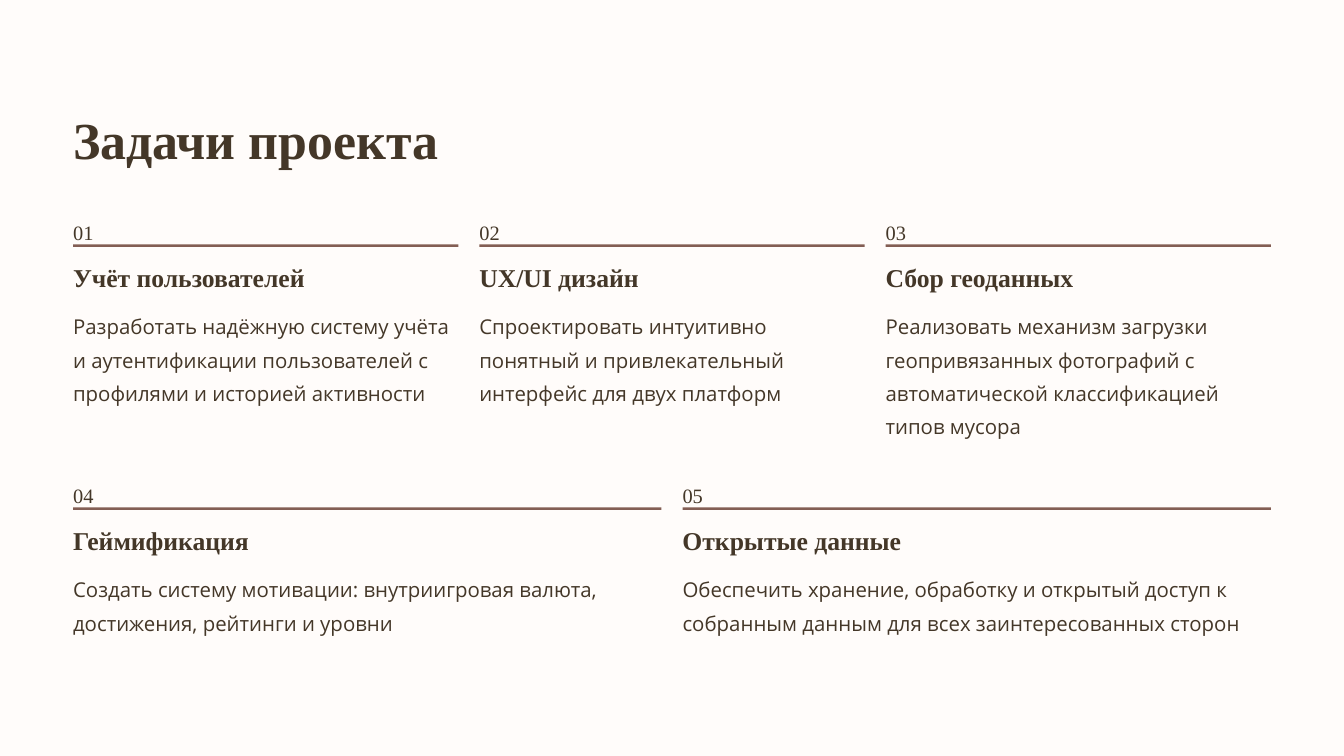
from pptx import Presentation
from pptx.dml.color import RGBColor
from pptx.enum.shapes import MSO_SHAPE
from pptx.enum.text import MSO_ANCHOR, MSO_AUTO_SIZE, PP_ALIGN
from pptx.util import Inches, Pt

RECTANGLE = MSO_SHAPE.RECTANGLE
TOP = MSO_ANCHOR.TOP
NO_AUTOFIT = MSO_AUTO_SIZE.NONE
LEFT_ALIGN = PP_ALIGN.LEFT

PAPER, INK, RULE = "FFFCFA", "443728", "835E54"
SERIF, SANS = "Times New Roman", "Open Sans"
MARGIN, CONTENT_WIDTH, GAP = 0.87, 14.26, 0.25
LINE_HEIGHT = 0.4

# Each task: heading, description, number of description lines.
TASK_ROWS = [
    (2.52, [
        ("Учёт пользователей",
         "Разработать надёжную систему учёта и аутентификации "
         "пользователей с профилями и историей активности", 3),
        ("UX/UI дизайн",
         "Спроектировать интуитивно понятный и привлекательный "
         "интерфейс для двух платформ", 3),
        ("Сбор геоданных",
         "Реализовать механизм загрузки геопривязанных фотографий с "
         "автоматической классификацией типов мусора", 4),
    ]),
    (5.65, [
        ("Геймификация",
         "Создать систему мотивации: внутриигровая валюта, "
         "достижения, рейтинги и уровни", 2),
        ("Открытые данные",
         "Обеспечить хранение, обработку и открытый доступ к "
         "собранным данным для всех заинтересованных сторон", 2),
    ]),
]


def color(value):
    """Turn a hex string into a colour."""
    return RGBColor.from_string(value)


def write(box, text, size, spacing, font=SERIF, bold=False, wrap=False):
    """Fill a box with one formatted paragraph and no insets."""
    frame = box.text_frame
    frame.margin_left = frame.margin_right = 0
    frame.margin_top = frame.margin_bottom = 0
    frame.auto_size = NO_AUTOFIT
    frame.word_wrap = wrap
    frame.vertical_anchor = TOP
    para = frame.paragraphs[0]
    para.text = text
    para.alignment = LEFT_ALIGN
    para.line_spacing = Pt(spacing)
    para.font.name = font
    para.font.size = Pt(size)
    para.font.bold = bold
    para.font.color.rgb = color(INK)


def add_title(page, text):
    """Place and format the title placeholder."""
    title = page.shapes.title
    title.left, title.top = Inches(MARGIN), Inches(1.25)
    title.width, title.height = Inches(6.2), Inches(0.78)
    write(title, text, 44.5, 55.5, bold=True)


def add_text(page, left, top, width, height, text, size, spacing, **style):
    """Add a text box."""
    box = page.shapes.add_textbox(
        Inches(left), Inches(top), Inches(width), Inches(height))
    write(box, text, size, spacing, **style)


def add_rule(page, left, top, width):
    """Add the thin bar under a task number."""
    bar = page.shapes.add_shape(
        RECTANGLE, Inches(left), Inches(top), Inches(width), Inches(0.03))
    bar.shadow.inherit = False
    bar.fill.solid()
    bar.fill.fore_color.rgb = color(RULE)
    bar.line.fill.background()


def add_task(page, left, top, width, number, task):
    """Add a numbered task with its rule, heading and description."""
    heading, description, lines = task
    add_text(page, left, top, 0.25, 0.31, f"{number:02}", 17.5, 28.5)
    add_rule(page, left, top + 0.39, width)
    add_text(page, left, top + 0.58, 3.1, 0.39, heading, 22, 27.5, bold=True)
    add_text(page, left, top + 1.12, width, lines * LINE_HEIGHT, description,
             17.5, 28.5, font=SANS, wrap=True)


def main():
    """Build the slide and save it."""
    deck = Presentation()
    deck.slide_width, deck.slide_height = Inches(16), Inches(9)
    page = deck.slides.add_slide(deck.slide_layouts.get_by_name("Title Only"))
    page.background.fill.solid()
    page.background.fill.fore_color.rgb = color(PAPER)
    add_title(page, "Задачи проекта")
    number = 1
    for top, tasks in TASK_ROWS:
        width = (CONTENT_WIDTH - GAP * (len(tasks) - 1)) / len(tasks)
        for column, task in enumerate(tasks):
            left = MARGIN + column * (width + GAP)
            add_task(page, left, top, width, number, task)
            number += 1
    deck.save("out.pptx")


if __name__ == "__main__":
    main()
